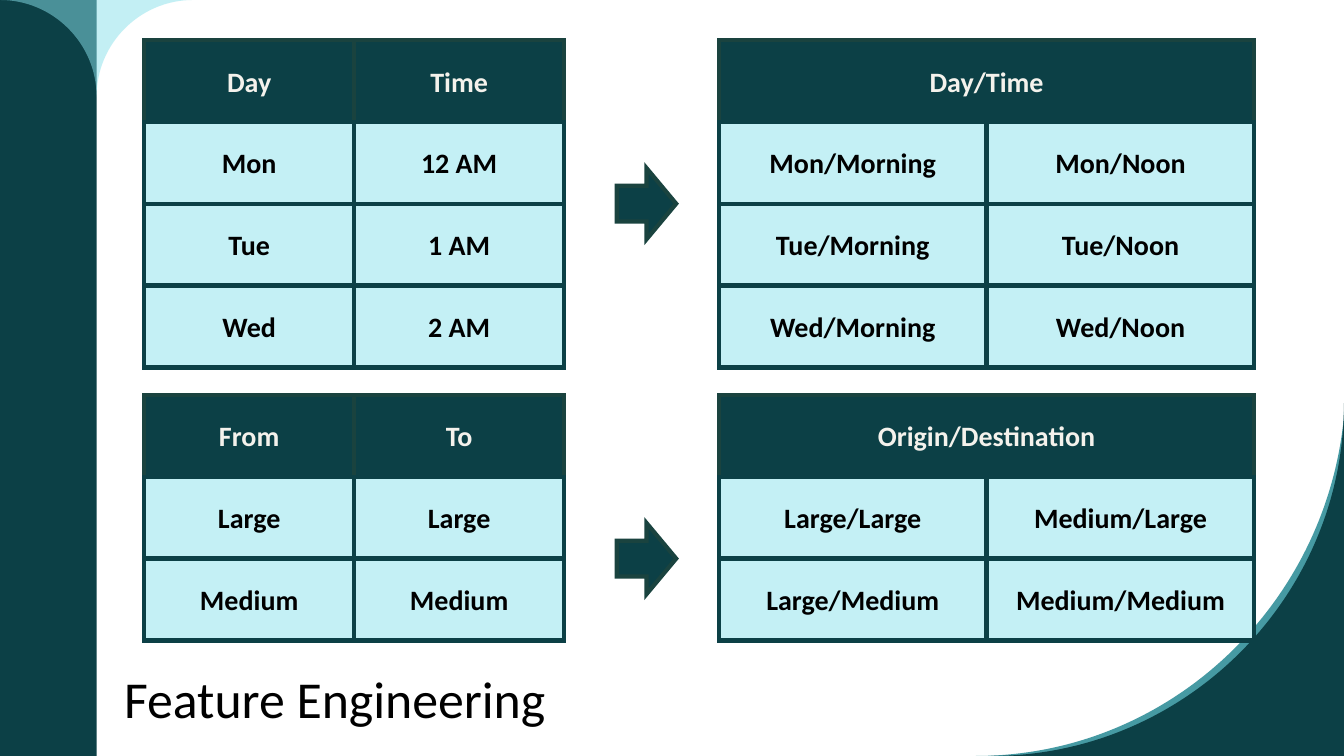
from dataclasses import dataclass

from lxml.etree import SubElement
from pptx import Presentation
from pptx.dml.color import RGBColor
from pptx.enum.shapes import MSO_SHAPE as Shape
from pptx.enum.text import MSO_ANCHOR as Anchor, PP_ALIGN as Align
from pptx.oxml.ns import qn
from pptx.util import Pt


@dataclass(frozen=True)
class Theme:
    font: str = "Calibri"
    title_size: float = 37
    cell_size: float = 20
    line_width: float = 3
    dark: str = "0C4046"
    dark_line: str = "1A433F"
    teal: str = "18818C"
    aqua: str = "89E1EB"
    cell: str = "C4F0F5"
    light_text: str = "F4F2EC"
    text: str = "000000"


THEME = Theme()
WIDTH, HEIGHT = 960, 540
BAR = 69  # width of the side bar and radius of the curves at its top
ROW = 58.5
ROUND = 0.55  # how far a quarter curve's handles reach to its corner

# Each block: top, source rows, combined rows (first row is the header)
BLOCKS = [
    (28.5,
     [("Day", "Time"), ("Mon", "12 AM"), ("Tue", "1 AM"), ("Wed", "2 AM")],
     [("Day/Time",), ("Mon/Morning", "Mon/Noon"),
      ("Tue/Morning", "Tue/Noon"), ("Wed/Morning", "Wed/Noon")]),
    (282,
     [("From", "To"), ("Large", "Large"), ("Medium", "Medium")],
     [("Origin/Destination",), ("Large/Large", "Medium/Large"),
      ("Large/Medium", "Medium/Medium")]),
]


def apply(target, values):
    for name, value in values.items():
        setattr(target, name, value)


def style_text(paragraph, size, color, bold, **layout):
    apply(paragraph, layout)
    apply(paragraph.font, {"name": THEME.font, "size": Pt(size), "bold": bold})
    paragraph.font.color.rgb = RGBColor.from_string(color)


def paint(shape, color, line=None, opacity=100):
    shape.shadow.inherit = False
    shape.fill.solid()
    shape.fill.fore_color.rgb = RGBColor.from_string(color)
    if opacity < 100:
        fill_color = shape.fill._xPr.find(qn("a:solidFill"))[0]
        SubElement(fill_color, qn("a:alpha"), val=str(opacity * 1000))
    if line:
        shape.line.color.rgb = RGBColor.from_string(line)
        shape.line.width = Pt(THEME.line_width)
        SubElement(shape.line._get_or_add_ln(), qn("a:miter"), lim="800000")
    else:
        shape.line.fill.background()


def quarter(start, corner, end):
    """Two handles and the end of a quarter curve that bends towards corner."""
    handles = [tuple(p + (c - p) * ROUND for p, c in zip(point, corner))
               for point in (start, end)]
    return handles + [end]


def add_outline(slide, points, curve_starts, color, opacity=100):
    """Draw an outline; three points from each curve start form one curve."""
    points = [(Pt(x), Pt(y)) for x, y in points]
    builder = slide.shapes.build_freeform(*points[0])
    builder.add_line_segments(points[1:], close=True)
    shape = builder.convert_to_shape()
    segments = list(shape._element.iter(qn("a:lnTo")))
    for start in curve_starts:
        first, *others = segments[start - 1:start + 2]
        first.tag = qn("a:cubicBezTo")
        for segment in others:
            first.append(segment[0])
            segment.getparent().remove(segment)
    paint(shape, color, opacity=opacity)


def add_backdrop(slide, width, height):
    # Bottom right corner: a teal rim under a dark curve
    corner = (width, height)
    rim = [(width, height - 246), corner, (width - 263, height),
           (width - 126, height), (width - 13, height - 106.5),
           (width, height - 242.5)]
    add_outline(slide, rim, [3], THEME.teal, 80)
    start, end = (width - 252, height), (width, height - 252)
    add_outline(slide, [corner, start, *quarter(start, corner, end)], [2], THEME.dark)

    # Side bar with two curves meeting at its top
    bar = slide.shapes.add_shape(Shape.RECTANGLE, 0, 0, Pt(BAR), Pt(height))
    paint(bar, THEME.dark)
    left, right, top, tip = (0, 0), (2 * BAR, 0), (BAR, 0), (BAR, BAR)
    add_outline(slide, [right, *quarter(right, top, tip), *quarter(tip, top, left)],
                [1, 4], THEME.aqua, 50)


def add_title(slide, left, top, width, height):
    title = slide.shapes.title
    apply(title, {"left": Pt(left), "top": Pt(top),
                  "width": Pt(width), "height": Pt(height)})
    title.text_frame.text = "Feature Engineering"
    title.text_frame.vertical_anchor = Anchor.MIDDLE
    style_text(title.text_frame.paragraphs[0], THEME.title_size, THEME.text, False,
               alignment=Align.LEFT, line_spacing=0.9)


def add_cell(group, text, header, left, top, width):
    cell = group.shapes.add_shape(Shape.RECTANGLE, Pt(left), Pt(top),
                                  Pt(width), Pt(ROW))
    if header:
        paint(cell, THEME.dark, THEME.dark_line)
    else:
        paint(cell, THEME.cell, THEME.dark)
    cell.text_frame.text = text
    apply(cell.text_frame, {"vertical_anchor": Anchor.MIDDLE, "word_wrap": True})
    style_text(cell.text_frame.paragraphs[0], THEME.cell_size,
               THEME.light_text if header else THEME.text, True,
               alignment=Align.CENTER)


def add_grid(group, rows, left, top, width):
    # Headers first, then each column downwards, so body lines lie on top
    for column in range(2):
        for index, texts in enumerate(rows):
            if column < len(texts):
                cell_width = width / len(texts)
                add_cell(group, texts[column], index == 0,
                         left + column * cell_width, top + index * ROW, cell_width)


def add_block(slide, source, combined, left, top):
    group = slide.shapes.add_group_shape()
    add_grid(group, source, left, top, 300)
    # The arrow is centred on the bottom edge of the second row
    arrow_height = 51
    arrow = group.shapes.add_shape(
        Shape.RIGHT_ARROW, Pt(left + 337.5), Pt(top + 2 * ROW - arrow_height / 2),
        Pt(42.5), Pt(arrow_height))
    paint(arrow, THEME.dark, THEME.dark_line)
    add_grid(group, combined, left + 410.5, top, 382.5)


def main():
    presentation = Presentation()
    apply(presentation, {"slide_width": Pt(WIDTH), "slide_height": Pt(HEIGHT)})
    slide = presentation.slides.add_slide(presentation.slide_layouts[5])
    add_backdrop(slide, WIDTH, HEIGHT)
    add_title(slide, 81.5, 456.5, 713.5, 89.5)
    for top, source, combined in BLOCKS:
        add_block(slide, source, combined, 103, top)
    presentation.save("out.pptx")


if __name__ == "__main__":
    main()
